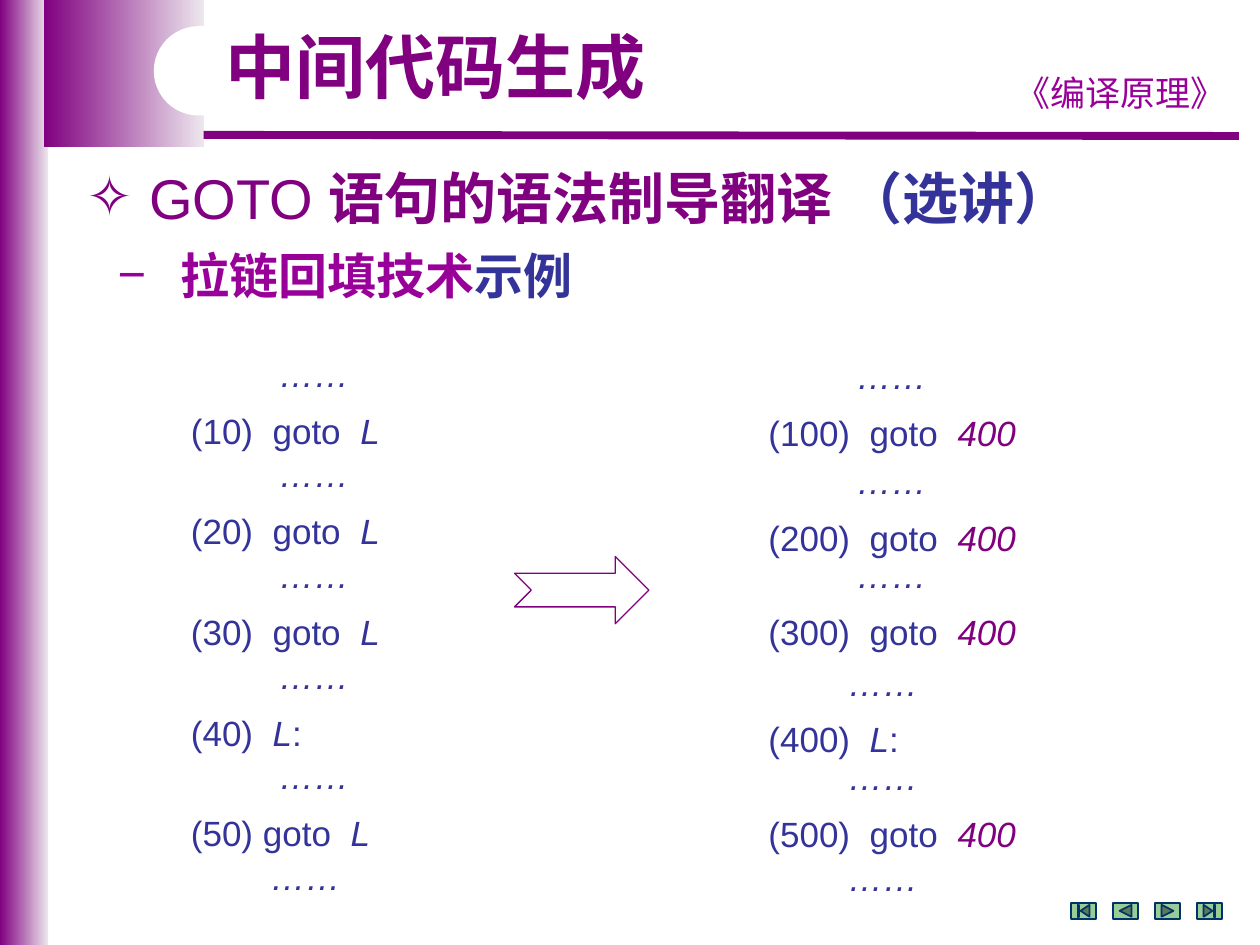
import pptx
import pptx.util
import pptx.dml.color
import pptx.enum.shapes
import pptx.enum.text
import pptx.oxml

Pt = pptx.util.Pt
SHAPE = pptx.enum.shapes.MSO_SHAPE
ALIGN = pptx.enum.text.PP_ALIGN
COLORS = {"purple": "800080", "violet": "990099", "blue": "333399", "pale": "EDE7ED",
          "white": "FFFFFF", "green": "99CC99", "navy": "003366"}
COLS, ROWS = 120, 90
DOTS = "……"

prs = pptx.Presentation()
prs.slide_width = pptx.util.Inches(10)
prs.slide_height = pptx.util.Inches(7.5)


def col(n):
    """Return the length of n grid columns."""
    return int(prs.slide_width * n / COLS)


def row(n):
    """Return the length of n grid rows."""
    return int(prs.slide_height * n / ROWS)


def place(box):
    """Return left, top, width and height of a box in grid units."""
    x, y, w, h = box
    return col(x), row(y), col(w), row(h)


def rgb(name):
    """Return a named colour."""
    return pptx.dml.color.RGBColor.from_string(COLORS[name])


def add_runs(p, runs, **base):
    """Add runs of text, each with its own changes to the base format."""
    for text, changes in runs:
        r = p.add_run()
        r.text = text
        style = {"name": "Arial", "bold": False, "italic": False, **base, **changes}
        r.font.color.rgb = rgb(style.pop("color"))
        for key, value in style.items():
            setattr(r.font, key, value)


def set_frame(tf, wrap=True):
    """Give a text frame its wrapping, top anchor and fixed size."""
    for key, value in {"word_wrap": wrap,
                       "auto_size": pptx.enum.text.MSO_AUTO_SIZE.NONE,
                       "vertical_anchor": pptx.enum.text.MSO_ANCHOR.TOP}.items():
        setattr(tf, key, value)


def add_plain(s, kind, box, fill=None, line=None, width=1):
    """Add a shape without a shadow."""
    sp = s.shapes.add_shape(kind, *place(box))
    sp.shadow.inherit = False
    if fill:
        sp.fill.solid()
        sp.fill.fore_color.rgb = rgb(fill)
    else:
        sp.fill.background()
    if line:
        sp.line.color.rgb = rgb(line)
        sp.line.width = Pt(width)
    else:
        sp.line.fill.background()
    return sp


def set_bullet(p, char, margin, hang):
    """Give a paragraph a hanging bullet."""
    pPr = p._p.get_or_add_pPr()
    pPr.set("marL", str(col(margin)))
    pPr.set("indent", str(-col(hang)))
    pPr.append(pptx.oxml.parse_xml(
        '<a:buChar xmlns:a="http://schemas.openxmlformats.org/drawingml/2006/main"'
        f' char="{char}"/>'))


def add_frame(s, box):
    """Draw the gradient bands, the rule and the course name."""
    x, y, w, h = box
    for band in ((x, y, 4.6, h), (x + 4.2, y, 15.2, 14)):
        sp = add_plain(s, SHAPE.RECTANGLE, band)
        sp.fill.gradient()
        sp.fill.gradient_angle = 0
        for stop, name in zip(sp.fill.gradient_stops, ("purple", "pale")):
            stop.color.rgb = rgb(name)
    rule = s.shapes.add_connector(pptx.enum.shapes.MSO_CONNECTOR.STRAIGHT, col(x + 19.4),
                                  row(y + 12.85), col(x + 118), row(y + 12.95))
    rule.line.color.rgb = rgb("purple")
    rule.line.width = Pt(4.5)
    rule._element.spPr.append(pptx.oxml.parse_xml(
        '<a:effectLst xmlns:a="http://schemas.openxmlformats.org/drawingml/2006/main"/>'))
    tab = add_plain(s, SHAPE.ROUNDED_RECTANGLE, (x + 14.65, y + 2.5, 43.4, 8.5), "white")
    tab.adjustments[0] = 0.5
    tf = s.shapes.add_textbox(*place((x + 94.9, y + 6.2, 23.7, 5.2))).text_frame
    set_frame(tf, False)
    tf.paragraphs[0].alignment = ALIGN.CENTER
    add_runs(tf.paragraphs[0], [("《编译原理》", {})], size=Pt(20),
             name="Noto Sans CJK SC", color="violet")


def fill_placeholder(s, sp, box):
    """Move a placeholder to a box, in front of the frame, and return its text frame."""
    sp.left, sp.top, sp.width, sp.height = place(box)
    s.shapes._spTree.append(sp._element)
    set_frame(sp.text_frame)
    return sp.text_frame


def add_title(s, box):
    """Fill the title placeholder."""
    p = fill_placeholder(s, s.shapes.title, box).paragraphs[0]
    p.alignment = ALIGN.LEFT
    p.line_spacing = 0.9
    add_runs(p, [("中间代码生成", {})], size=Pt(40), bold=True, color="purple")


def add_topics(s, box):
    """Fill the body placeholder with the topic and its subtopic."""
    tf = fill_placeholder(s, s.placeholders[1], box)
    topics = [
        ("✧", 6, 6, 32, 0, [("GOTO ", {"bold": False}), ("语句的语法制导翻译 ", {}),
                            ("（选讲）", {"color": "blue"})]),
        ("−", 9, 6, 28, 8, [("拉链回填技术", {"color": "violet"}),
                            ("示例", {"color": "blue"})])]
    for i, (char, margin, hang, size, gap, runs) in enumerate(topics):
        p = tf.add_paragraph() if i else tf.paragraphs[0]
        p.level = i
        p.space_before = Pt(gap)
        set_bullet(p, char, margin, hang)
        add_runs(p, runs, size=Pt(size), bold=True, color="purple")


def add_code(s, box, lines):
    """List code lines; a number stands for dots indented by that many columns."""
    tf = s.shapes.add_textbox(*place(box)).text_frame
    set_frame(tf)
    for i, line in enumerate(lines):
        p = tf.add_paragraph() if i else tf.paragraphs[0]
        dots = not isinstance(line, list)
        p.line_spacing = Pt(25 if dots else 23)
        p.space_before = Pt(0 if dots else 9.5)
        if dots:
            p._p.get_or_add_pPr().set("marL", str(col(line)))
            line = [(DOTS, {"italic": True})]
        add_runs(p, line, size=Pt(20), color="blue")


def add_source(s, box):
    """List the code before back-patching."""
    label = ("L", {"italic": True})
    lines = []
    for n in (10, 20, 30):
        lines += [8.4, [(f"({n})  goto  ", {}), label]]
    lines += [8.4, [("(40)  ", {}), label, (":", {})],
              8.4, [("(50) goto  ", {}), label], 7.6]
    add_code(s, box, lines)


def add_target(s, box):
    """List the back-patched code, one block for each address."""
    x, y, w, h = box
    address = ("400", {"italic": True, "color": "purple"})
    for n, top, indent in ((100, 0, 8.4), (200, 10, 8.4), (300, 19, 8.4),
                           (400, 29.2, 7.6), (500, 38.2, 7.6)):
        code = [(f"({n})  goto  ", {}), address]
        if n == 400:
            code = [("(400)  ", {}), ("L", {"italic": True}), (":", {})]
        tail = [indent] if n == 500 else []
        add_code(s, (x, y + top, w, h), [indent, code] + tail)


def add_buttons(s, box):
    """Draw the row of navigation buttons."""
    x, y, w, h = box
    kinds = (SHAPE.ACTION_BUTTON_BEGINNING, SHAPE.ACTION_BUTTON_BACK_OR_PREVIOUS,
             SHAPE.ACTION_BUTTON_FORWARD_OR_NEXT, SHAPE.ACTION_BUTTON_END)
    for i, kind in enumerate(kinds):
        add_plain(s, kind, (x + 4 * i, y, w, h), "green", "navy")


def main():
    """Build the slide and save it."""
    s = prs.slides.add_slide(prs.slide_layouts[1])
    add_frame(s, (0, 0, COLS, ROWS))
    add_title(s, (20.3, 2.5, 42.7, 8.4))
    add_topics(s, (7, 15, 109, 16))
    add_buttons(s, (102, 86, 2.4, 1.5))
    add_source(s, (17, 32.8, 28, 53.2))
    add_plain(s, SHAPE.NOTCHED_RIGHT_ARROW, (49, 53, 12.8, 6.4), None, "purple", 0.75)
    add_target(s, (72, 33, 28, 10.8))
    prs.save("out.pptx")


if __name__ == "__main__":
    main()
